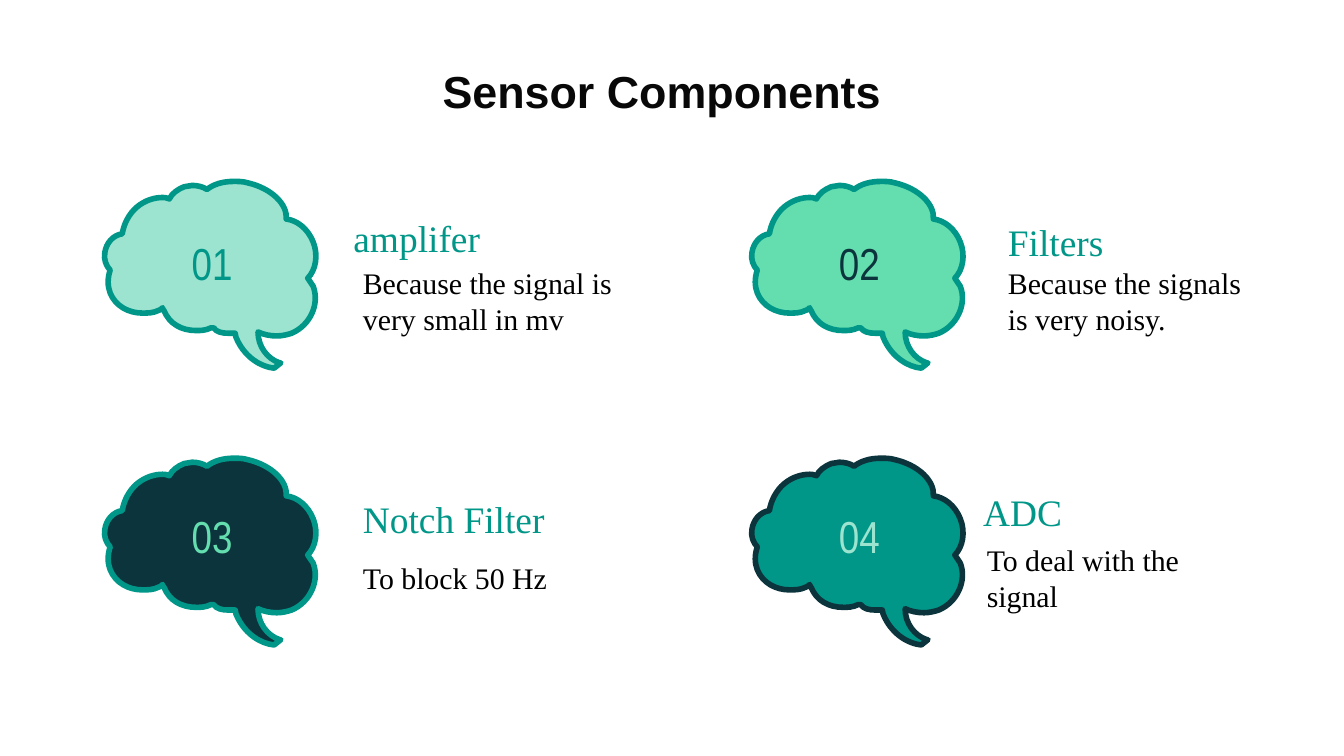
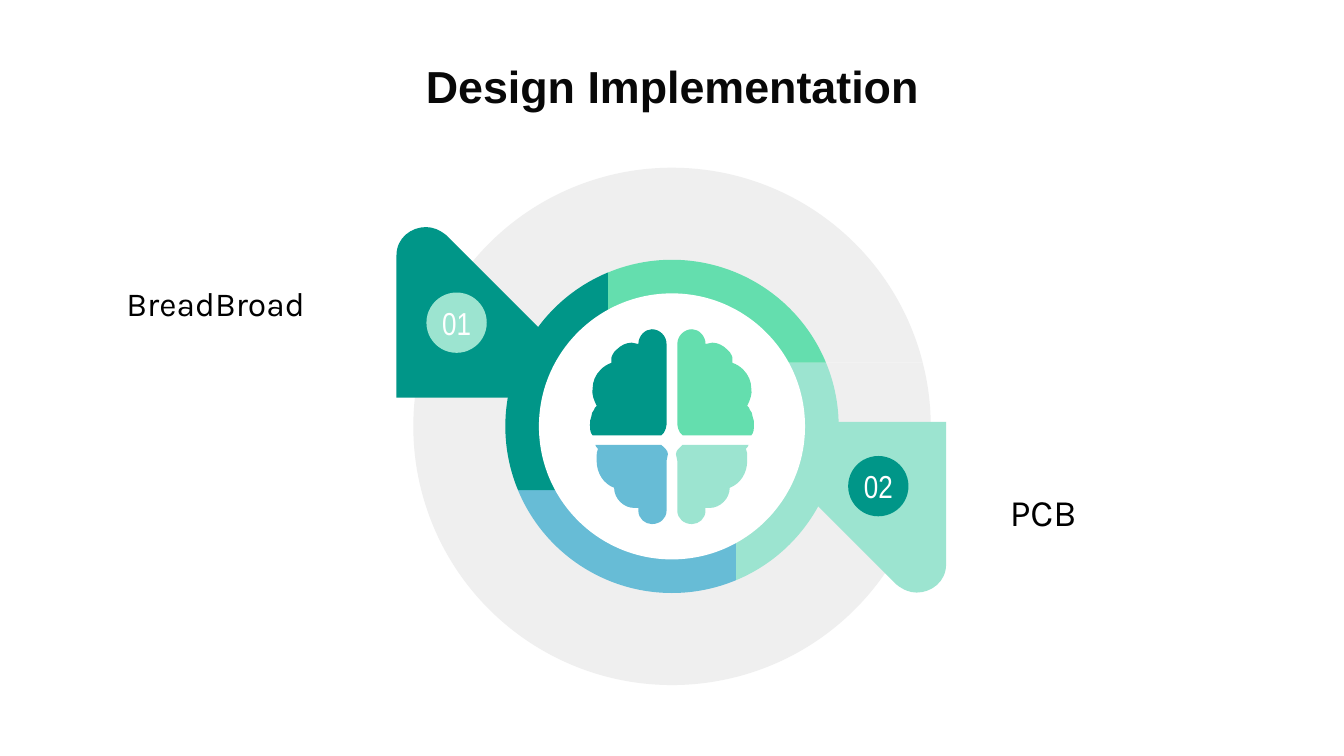
import dataclasses
import math
import typing

import lxml.etree
import pptx
import pptx.dml.color
import pptx.enum.shapes
import pptx.enum.text
import pptx.oxml.ns
import pptx.util

Cm = pptx.util.Cm
Step = tuple[float, ...]
Point = tuple[float, float]
Align = pptx.enum.text.PP_ALIGN
Anchor = pptx.enum.text.MSO_ANCHOR
qn = pptx.oxml.ns.qn

TEAL = "009688"
GREEN = "64DEAE"
MINT = "9CE4D0"
BLUE = "67BCD6"
NAVY = "0C343D"
GREY = "EFEFEF"
WHITE = "FFFFFF"
BLACK = "000000"
TITLE_COLOUR = "080808"

UNIT = Cm(2.54) / 100
GRAIN = 100
HUB = (500, 317.3)
ARM = 47.5

CLOUD = [
    (174, 135), (166, 135, 159, 137, 154, 141), (151, 139, 147, 138, 143, 138),
    (141, 138, 139, 139, 137, 139), (132, 141, 128, 144, 126, 148),
    (124, 147, 122, 147, 121, 147), (115, 147, 108, 149, 102, 154),
    (96, 159, 92, 167, 91, 174), (84, 175, 79, 181, 78, 188),
    (77, 193, 79, 198, 82, 201), (80, 207, 80, 213, 82, 218),
    (86, 228, 96, 233, 106, 233), (110, 233, 114, 233, 118, 231),
    (119, 231, 120, 230, 121, 229), (121, 230, 121, 231, 122, 231),
    (126, 241, 135, 246, 146, 246), (149, 246, 153, 246, 157, 244),
    (157, 244, 158, 244, 159, 244), (161, 247, 165, 248, 170, 248),
    (171, 248, 173, 248, 175, 248), (175, 250, 176, 252, 177, 254),
    (183, 266, 194, 273, 204, 274), (209, 270), (208, 270, 208, 270, 208, 270),
    (199, 267, 192, 258, 192, 247), (192, 247),
    (196, 249, 201, 250, 206, 250), (210, 250, 214, 249, 217, 248),
    (231, 242, 238, 226, 233, 213), (232, 211, 230, 209, 229, 207),
    (235, 201, 237, 190, 233, 180), (229, 170, 221, 164, 213, 163),
    (214, 152, 202, 140, 184, 136), (181, 135, 177, 135, 174, 135),
]
UPPER_LOBE = [
    (485, 245), (480, 245, 475, 250, 475, 256), (475, 256),
    (473, 255, 472, 255, 470, 255),
    (466, 255, 462, 257, 459, 260), (458, 261, 458, 261, 457, 262),
    (456, 264, 455, 265, 455, 266), (455, 268, 455, 269, 455, 270),
    (452, 271, 449, 273, 447, 275), (443, 279, 441, 284, 441, 289),
    (440, 293, 442, 298, 444, 302), (443, 303, 442, 304, 442, 305),
    (441, 306, 440, 308, 440, 310), (439, 312, 439, 314, 439, 316),
    (439, 319, 439, 322, 441, 324), (492, 324), (494, 322),
    (495, 320, 496, 318, 496, 316), (496, 256), (496, 250, 491, 245, 485, 245),
]
LOWER_LOBE = [
    (443, 331), (443, 332, 444, 333, 445, 334), (444, 336, 444, 338, 444, 340),
    (444, 341, 444, 342, 444, 343), (444, 352, 449, 360, 457, 363),
    (457, 371, 464, 378, 472, 378), (472, 378), (473, 378, 473, 378, 474, 378),
    (474, 378, 475, 378, 475, 378), (475, 380),
    (475, 386, 480, 390, 485, 390), (491, 390, 496, 386, 496, 380), (496, 343),
    (496, 343), (497, 341, 497, 340, 497, 338), (497, 335, 494, 333, 492, 331),
]
BLADE = [
    (317, 169), (306, 169, 295, 177, 295, 190), (295, 296), (453, 296),
    (332, 175), (327, 171, 322, 169, 317, 169),
]


class Box(typing.NamedTuple):
    left: float
    top: float
    width: float
    height: float

    def lengths(self) -> list[int]:
        return [Cm(value) for value in self]


@dataclasses.dataclass
class TextStyle:
    font: str
    size: float
    colour: str
    bold: bool = False
    align: Align = Align.LEFT
    anchor: Anchor = Anchor.MIDDLE
    side_inset: float = 0.25


@dataclasses.dataclass
class Component:
    column: int
    row: int
    number: str
    fill: str
    line: str
    number_colour: str
    heading: str
    heading_at: Point
    reason: str
    reason_at: Point


@dataclasses.dataclass
class Badge:
    number: str
    left: float
    top: float
    fill: str


TITLE_STYLE = TextStyle("Arial", 24, TITLE_COLOUR, True, Align.CENTER, Anchor.TOP)
HEADING_STYLE = TextStyle("Times New Roman", 20, TEAL)
REASON_STYLE = TextStyle("Times New Roman", 16, BLACK)
BADGE_STYLE = TextStyle("Arial Narrow", 17, WHITE, align=Align.CENTER, side_inset=0)

COMPONENTS = [
    Component(0, 0, "01", MINT, TEAL, TEAL, "amplifer", (6.43, 3.89),
              "Because the signal is very small in mv", (6.61, 4.93)),
    Component(0, 1, "03", NAVY, TEAL, GREEN, "Notch Filter", (6.61, 9.21),
              "To block 50 Hz", (6.61, 10.16)),
    Component(1, 1, "04", TEAL, NAVY, MINT, "ADC", (18.33, 9.07),
              "To deal with the signal", (18.4, 10.17)),
    Component(1, 0, "02", GREEN, TEAL, NAVY, "Filters", (18.8, 3.98),
              "Because the signals is very noisy.", (18.8, 4.93)),
]
BADGES = [Badge("02", 16.03, 8.62, TEAL), Badge("01", 8.06, 5.53, MINT)]


def rgb(colour: str) -> pptx.dml.color.RGBColor:
    return pptx.dml.color.RGBColor.from_string(colour)


def paint(shape, fill: str, line: str | None = None) -> None:
    shape.shadow.inherit = False
    shape.fill.solid()
    shape.fill.fore_color.rgb = rgb(fill)
    if line:
        shape.line.color.rgb = rgb(line)
        shape.line.width = pptx.util.Pt(3)
    else:
        shape.line.fill.background()


def write(shape, style: TextStyle, *runs: tuple[str, float]) -> None:
    frame = shape.text_frame
    frame.word_wrap = True
    frame.auto_size = pptx.enum.text.MSO_AUTO_SIZE.NONE
    frame.vertical_anchor = style.anchor
    frame.margin_left = frame.margin_right = Cm(style.side_inset)
    frame.margin_top = frame.margin_bottom = Cm(0.25)
    paragraph = frame.paragraphs[0]
    paragraph.alignment = style.align
    for text, size in runs:
        run = paragraph.add_run()
        run.text = text
        run.font.name = style.font
        run.font.size = pptx.util.Pt(size)
        run.font.bold = style.bold
        run.font.color.rgb = rgb(style.colour)


def add_text(slide, box: Box, style: TextStyle, text: str) -> None:
    write(slide.shapes.add_textbox(*box.lengths()), style, (text, style.size))


def add_titled_slide(presentation, title: str, left: float, top: float):
    slide = presentation.slides.add_slide(presentation.slide_layouts[5])
    shape = slide.shapes.title
    shape.left, shape.top, shape.width, shape.height = Box(left, top, 24.41, 1.6).lengths()
    write(shape, TITLE_STYLE, (title, TITLE_STYLE.size))
    return slide


def moved(outline: list[Step], change: typing.Callable[[float, float], Point]) -> list[Step]:
    return [
        tuple(value for x, y in zip(step[::2], step[1::2]) for value in change(x, y))
        for step in outline
    ]


def mirrored(outline: list[Step]) -> list[Step]:
    return moved(outline, lambda x, y: (1000 - x, y))


def arc(radius: float, angles: list[float]) -> list[Step]:
    steps = [(radius * math.cos(angles[0]), radius * math.sin(angles[0]))]
    for start, end in zip(angles, angles[1:]):
        reach = 4 / 3 * math.tan((end - start) / 4)
        (c0, s0), (c1, s1) = ((math.cos(a), math.sin(a)) for a in (start, end))
        curve = (c0 - reach * s0, s0 + reach * c0, c1 + reach * s1, s1 - reach * c1, c1, s1)
        steps.append(tuple(radius * value for value in curve))
    return steps


def add_outline(shapes, outline: list[Step], fill: str, line: str | None = None) -> None:
    grid = moved(outline, lambda x, y: (round(x * GRAIN), round(y * GRAIN)))
    ends = [step[-2:] for step in grid]
    left, top = (min(values) for values in zip(*ends))
    builder = shapes.build_freeform(*ends[0], scale=UNIT / GRAIN)
    builder.add_line_segments(ends[1:], close=True)
    shape = builder.convert_to_shape()
    segments = list(shape.element.iter(qn("a:lnTo")))
    for segment, step in zip(segments, grid[1:]):
        if len(step) == 6:
            segment.clear()
            curve = lxml.etree.Element(qn("a:cubicBezTo"))
            for x, y in zip(step[::2], step[1::2]):
                lxml.etree.SubElement(curve, qn("a:pt"), x=str(x - left), y=str(y - top))
            segment.getparent().replace(segment, curve)
    paint(shape, fill, line)


def around_hub(outline: list[Step]) -> list[Step]:
    return moved(outline, lambda x, y: (HUB[0] + x, HUB[1] + y))


def add_pinwheel(shapes, radius: float, colours: list[str]) -> None:
    angles = [math.acos(ARM / radius), 0, -math.asin(ARM / radius)]
    rim = arc(radius, angles)
    sector = [(ARM, -ARM)] + rim
    for colour in colours:
        add_outline(shapes, around_hub(sector), colour)
        sector = moved(sector, lambda x, y: (-y, x))


def build_components(presentation) -> None:
    slide = add_titled_slide(presentation, "Sensor Components", 0.3, 0.95)
    for item in COMPONENTS:
        cloud = moved(CLOUD, lambda x, y: (x + 481.5 * item.column, y + 206 * item.row))
        add_outline(slide.shapes, cloud, item.fill, item.line)
    for item in COMPONENTS:
        add_text(slide, Box(*item.heading_at, 5.23, 1.19), HEADING_STYLE, item.heading)
        add_text(slide, Box(*item.reason_at, 5.23, 1.5), REASON_STYLE, item.reason)
    for item in COMPONENTS:
        number_box = Box(3.31 + 12.23 * item.column, 4.27 + 5.16 * item.row, 1.4, 1.4)
        style = TextStyle("Arial Narrow", 24, item.number_colour, align=Align.CENTER)
        add_text(slide, number_box, style, item.number)


def build_implementation(presentation) -> None:
    slide = add_titled_slide(presentation, "Design Implementation", 0.5, 0.86)
    add_pinwheel(slide.shapes, 192.5, [GREY] * 4)
    add_pinwheel(slide.shapes, 124, [MINT, BLUE, TEAL, GREEN])
    add_outline(slide.shapes, BLADE, TEAL)
    add_outline(slide.shapes, moved(BLADE, lambda x, y: (999 - x, 610 - y)), MINT)
    disc = arc(99, [-math.pi / 2 * quarter for quarter in range(1, 6)])
    add_outline(slide.shapes, around_hub(disc), WHITE)

    brain = slide.shapes.add_group_shape()
    add_outline(brain.shapes, LOWER_LOBE, BLUE)
    add_outline(brain.shapes, UPPER_LOBE, TEAL)
    add_outline(brain.shapes, mirrored(UPPER_LOBE), GREEN)
    add_outline(brain.shapes, mirrored(LOWER_LOBE), MINT)

    for badge in BADGES:
        box = Box(badge.left, badge.top, 1.14, 1.14)
        shape = slide.shapes.add_shape(pptx.enum.shapes.MSO_SHAPE.OVAL, *box.lengths())
        paint(shape, badge.fill)
        write(shape, BADGE_STYLE, (badge.number, BADGE_STYLE.size))

    for text, size, align, box in (
        ("BreadBroad", 18, Align.LEFT, Box(2.14, 4.99, 4.45, 1.47)),
        ("PCB", 20, Align.RIGHT, Box(18.19, 8.93, 2.51, 1.47)),
    ):
        label = slide.shapes.add_textbox(*box.lengths())
        write(label, TextStyle("Karla", size, BLACK, align=align), (text, size), (" ", 12))


def main() -> None:
    presentation = pptx.Presentation()
    presentation.slide_width = Cm(25.4)
    presentation.slide_height = Cm(14.29)
    build_components(presentation)
    build_implementation(presentation)
    presentation.save("out.pptx")


if __name__ == "__main__":
    main()
